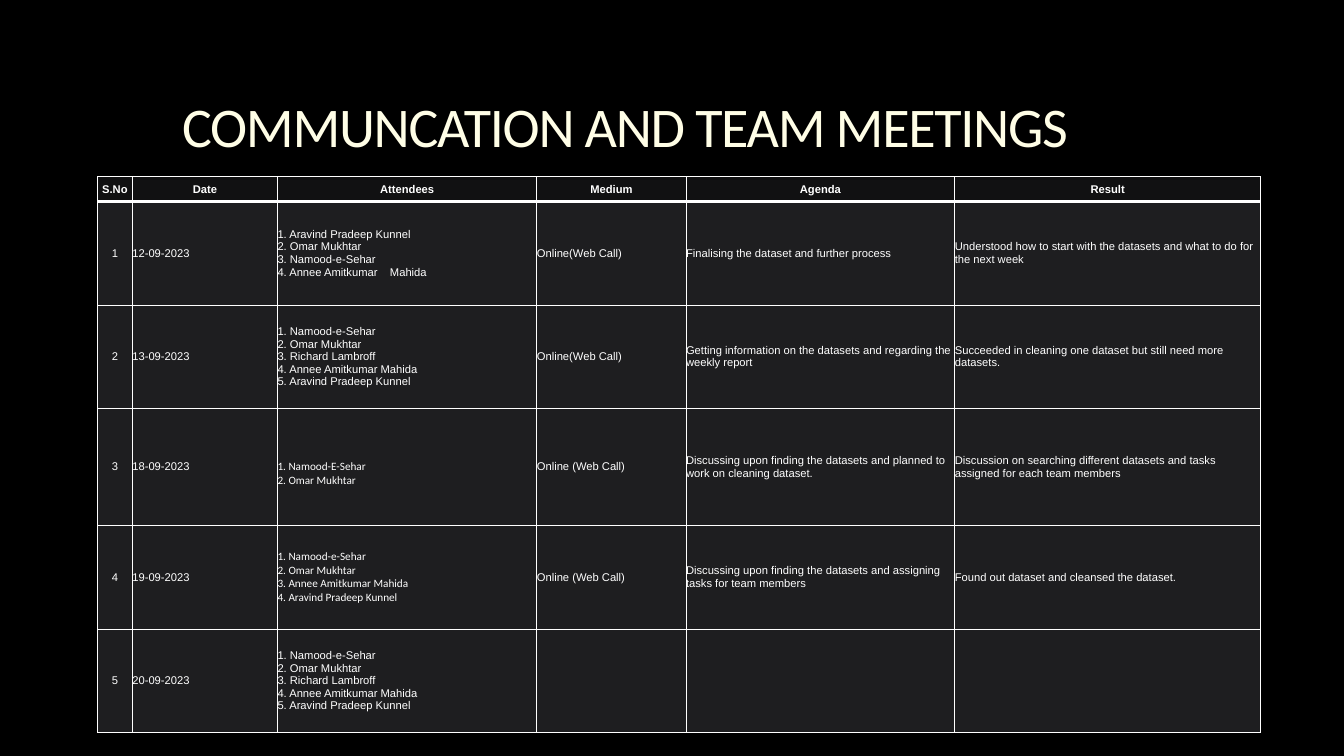
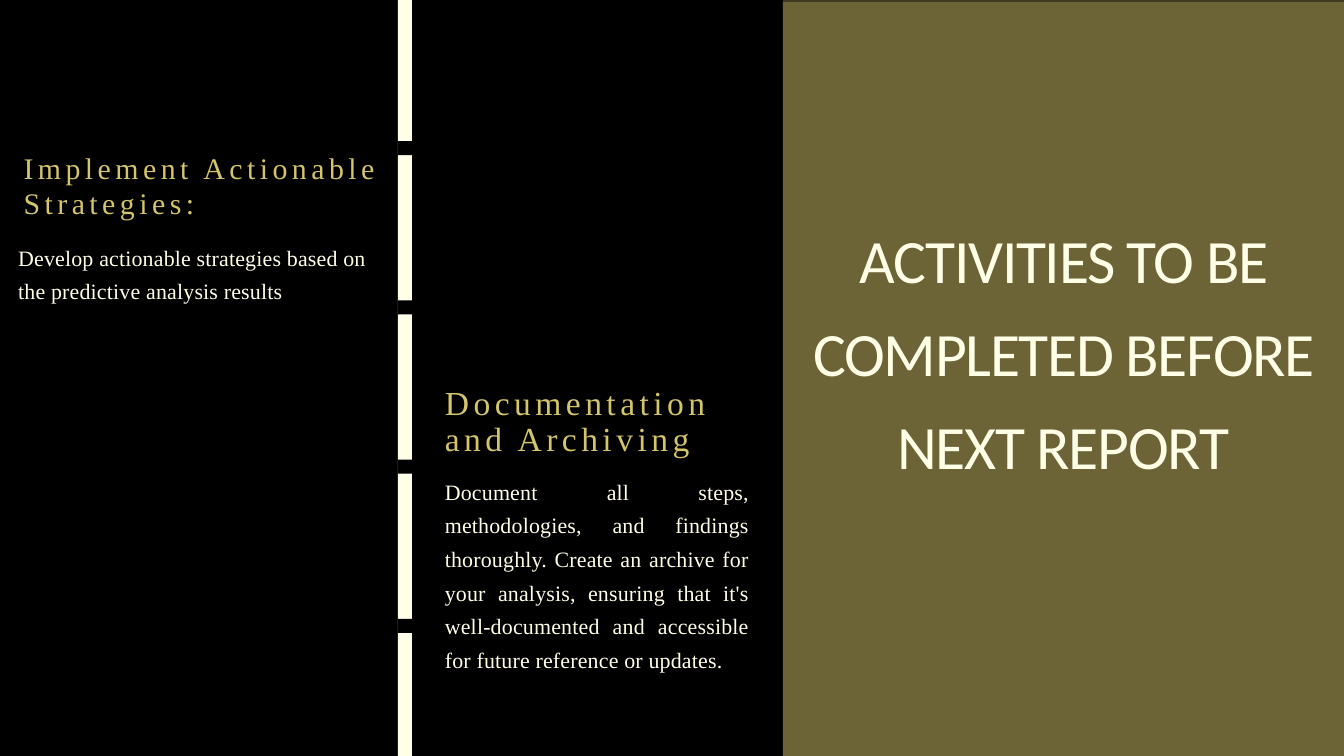
"""Build two dark slides: a log of team meetings and a list of next tasks."""
from dataclasses import dataclass

import lxml.etree
import pptx
import pptx.dml.color
import pptx.enum.shapes
import pptx.enum.text
import pptx.oxml.ns
import pptx.shapes.autoshape
import pptx.slide
import pptx.table
import pptx.text.text
import pptx.util

Inches = pptx.util.Inches
Pt = pptx.util.Pt
RGBColor = pptx.dml.color.RGBColor
Align = pptx.enum.text.PP_ALIGN
qn = pptx.oxml.ns.qn

BLACK = RGBColor(0x00, 0x00, 0x00)
WHITE = RGBColor(0xFF, 0xFF, 0xFF)
CREAM = RGBColor(0xFF, 0xFE, 0xE6)
GOLD = RGBColor(0xD4, 0xC4, 0x6B)
HEAD = RGBColor(0x11, 0x11, 0x12)
BODY = RGBColor(0x1E, 0x1E, 0x20)

SANS = "Calibri"
GRID = "Arial"
SERIF = "Times New Roman"
WIDE = 20
HIGH = 11.25


@dataclass(frozen=True)
class Style:
    """Look of a line of text."""
    font: str
    size: float
    color: RGBColor
    track: float = 0
    lead: float | None = None
    align: Align = Align.LEFT
    bold: bool = False


@dataclass(frozen=True)
class Box:
    """Place of an item, in inches."""
    left: float
    top: float
    width: float
    height: float


@dataclass(frozen=True)
class Label:
    """Text with its place and look."""
    text: str
    box: Box
    style: Style


@dataclass(frozen=True)
class Block:
    """Plain filled box."""
    box: Box
    color: RGBColor
    alpha: int = 100


@dataclass(frozen=True)
class Meeting:
    """One row of the log."""
    date: str
    people: tuple[str, ...]
    medium: str = ""
    agenda: str = ""
    result: str = ""
    font: str = GRID
    drop: float = 0


TITLE = Style(SANS, 60, CREAM, -1.4, 144)
BANNER = Style(SANS, 66, CREAM, -1.4, 100, Align.CENTER)
TOPIC = Style(SERIF, 32, GOLD, 4.8, 38.4)
LARGE = Style(SERIF, 36, GOLD, 4.8, 38.4)
PROSE = Style(SERIF, 23.5, CREAM, 0.2, 36)
FLUSH = Style(SERIF, 23.5, CREAM, 0.2, 36, Align.JUSTIFY)
TOP = Style(GRID, 12, WHITE, align=Align.CENTER, bold=True)
COUNT = Style(GRID, 12, WHITE, align=Align.CENTER)
CELL = Style(GRID, 12, WHITE)

ANNEE = "Annee Amitkumar Mahida"
ARAVIND = "Aravind Pradeep Kunnel"
NAMOOD = "Namood-e-Sehar"
OMAR = "Omar Mukhtar"
RICHARD = "Richard Lambroff"
TEAM = (NAMOOD, OMAR, RICHARD, ANNEE, ARAVIND)

HEADS = ("S.No", "Date", "Attendees", "Medium", "Agenda", "Result")
WIDTHS = (0.52, 2.16, 3.86, 2.22, 4, 4.55)
HEIGHTS = (0.37, 1.54, 1.54, 1.74, 1.54, 1.54)
LOG = (
    Meeting("12-09-2023",
            (ARAVIND, OMAR, NAMOOD, "Annee Amitkumar    Mahida"),
            "Online(Web Call)", "Finalising the dataset and further process",
            "Understood how to start with the datasets and what to do for "
            "the next week"),
    Meeting("13-09-2023", TEAM, "Online(Web Call)",
            "Getting information on the datasets and regarding "
            "the weekly report ",
            "Succeeded in cleaning one dataset but still need more datasets."),
    Meeting("18-09-2023", ("Namood-E-Sehar", OMAR), "Online (Web Call)",
            "Discussing upon finding the datasets and planned to work on "
            "cleaning dataset.",
            "Discussion on searching different datasets and tasks assigned "
            "for each team members", SANS, 0.2),
    Meeting("19-09-2023", (NAMOOD, OMAR, ANNEE, ARAVIND), "Online (Web Call)",
            "Discussing upon finding the datasets and assigning tasks for "
            "team members",
            "Found out dataset and cleansed the dataset.", SANS),
    Meeting("20-09-2023", TEAM),
)

PANEL = 11.65
RAIL = 5.92
MARK = 0.21
BLOCKS = (
    Block(Box(PANEL, 0, WIDE - PANEL, HIGH), GOLD, 30),
    Block(Box(PANEL, 0.03, WIDE - PANEL, HIGH - 0.03), GOLD, 30),
    Block(Box(RAIL, 0, MARK, HIGH), CREAM),
    *(Block(Box(RAIL, 2.1 + 2.37 * step, MARK, MARK), BLACK)
      for step in range(4)),
)
TASKS = (
    Label("Implement Actionable Strategies:",
          Box(0.35, 2.22, 5.45, 1.1), TOPIC),
    Label("Develop actionable strategies based on the predictive analysis "
          "results", Box(0.27, 3.53, 5.45, 1), PROSE),
    Label("ACTIVITIES TO BE COMPLETED BEFORE NEXT REPORT",
          Box(11.92, 3.01, 7.81, 5.49), BANNER),
    Label("Documentation and Archiving", Box(6.62, 5.75, 4.53, 1.1), LARGE),
    Label("Document all steps, methodologies, and findings thoroughly. "
          "Create an archive for your analysis, ensuring that it's "
          "well-documented and accessible for future reference or updates.",
          Box(6.62, 7.01, 4.53, 2.98), FLUSH),
)


def place(box: Box) -> tuple[int, int, int, int]:
    """Turn a box into slide lengths."""
    return (Inches(box.left), Inches(box.top),
            Inches(box.width), Inches(box.height))


def write(frame: pptx.text.text.TextFrame, lines: list[str],
          style: Style) -> None:
    """Fill a frame with styled lines, with no inner margins."""
    frame.word_wrap = True
    for num, line in enumerate(lines):
        para = frame.add_paragraph() if num else frame.paragraphs[0]
        para.alignment = style.align
        if style.lead:
            para.line_spacing = Pt(style.lead)
        run = para.add_run()
        run.text = line
        run.font.name = style.font
        run.font.size = Pt(style.size)
        run.font.bold = style.bold
        run.font.color.rgb = style.color
        if style.track:
            run._r.get_or_add_rPr().set("spc", str(round(style.track * 100)))


def add_label(slide: pptx.slide.Slide, label: Label) -> None:
    """Add a text box."""
    frame = slide.shapes.add_textbox(*place(label.box)).text_frame
    frame.margin_left = frame.margin_right = 0
    frame.margin_top = frame.margin_bottom = 0
    write(frame, [label.text], label.style)


def add_block(slide: pptx.slide.Slide, block: Block) -> None:
    """Add a filled box, see-through if asked."""
    kind = pptx.enum.shapes.MSO_SHAPE.RECTANGLE
    shape = slide.shapes.add_shape(kind, *place(block.box))
    shape.shadow.inherit = False
    shape.line.fill.background()
    shape.fill.solid()
    shape.fill.fore_color.rgb = block.color
    if block.alpha < 100:
        tint = shape._element.spPr.find(".//" + qn("a:srgbClr"))
        alpha = lxml.etree.SubElement(tint, qn("a:alpha"))
        alpha.set("val", str(block.alpha * 1000))


def add_edge(cell: pptx.table._Cell, side: str, weight: float) -> None:
    """Draw one white edge of a cell."""
    edge = lxml.etree.SubElement(cell._tc.get_or_add_tcPr(), qn("a:ln" + side))
    edge.set("w", str(Pt(weight)))
    fill = lxml.etree.SubElement(edge, qn("a:solidFill"))
    lxml.etree.SubElement(fill, qn("a:srgbClr")).set("val", str(WHITE))


def fill_cell(cell: pptx.table._Cell, row: int, lines: list[str],
              style: Style, drop: float = 0) -> None:
    """Write and paint one cell."""
    cell.margin_left = cell.margin_right = cell.margin_bottom = 0
    cell.margin_top = Inches(drop)
    cell.vertical_anchor = pptx.enum.text.MSO_ANCHOR.MIDDLE
    thick = {(0, "B"), (1, "T")}
    for side in "LRTB":
        add_edge(cell, side, 3 if (row, side) in thick else 1)
    cell.fill.solid()
    cell.fill.fore_color.rgb = BODY if row else HEAD
    if any(lines):
        write(cell.text_frame, lines, style)


def add_log(slide: pptx.slide.Slide) -> None:
    """Add the table of meetings."""
    box = Box(1.45, 2.63, sum(WIDTHS), sum(HEIGHTS))
    grid = slide.shapes.add_table(
        len(HEIGHTS), len(WIDTHS), *place(box)).table
    grid.horz_banding = False
    for col, width in zip(grid.columns, WIDTHS):
        col.width = Inches(width)
    for row, height in zip(grid.rows, HEIGHTS):
        row.height = Inches(height)
    for col, head in enumerate(HEADS):
        fill_cell(grid.cell(0, col), 0, [head], TOP)
    for row, item in enumerate(LOG, 1):
        names = [f"{num}. {name}" for num, name in enumerate(item.people, 1)]
        fill_cell(grid.cell(row, 0), row, [str(row)], COUNT)
        fill_cell(grid.cell(row, 2), row, names,
                  Style(item.font, 12, WHITE), item.drop)
        texts = {1: item.date, 3: item.medium, 4: item.agenda, 5: item.result}
        for col, text in texts.items():
            fill_cell(grid.cell(row, col), row, [text], CELL)


def main() -> None:
    """Build and save the deck."""
    deck = pptx.Presentation()
    deck.slide_width = Inches(WIDE)
    deck.slide_height = Inches(HIGH)
    first, last = (deck.slides.add_slide(deck.slide_layouts[6])
                   for _ in range(2))
    for slide in (first, last):
        slide.background.fill.solid()
        slide.background.fill.fore_color.rgb = BLACK

    add_label(first, Label("COMMUNCATION AND TEAM MEETINGS",
                           Box(2.71, 0.36, 14.59, 1.73), TITLE))
    add_log(first)

    for block in BLOCKS:
        add_block(last, block)
    for task in TASKS:
        add_label(last, task)
    deck.save("out.pptx")


if __name__ == "__main__":
    main()
